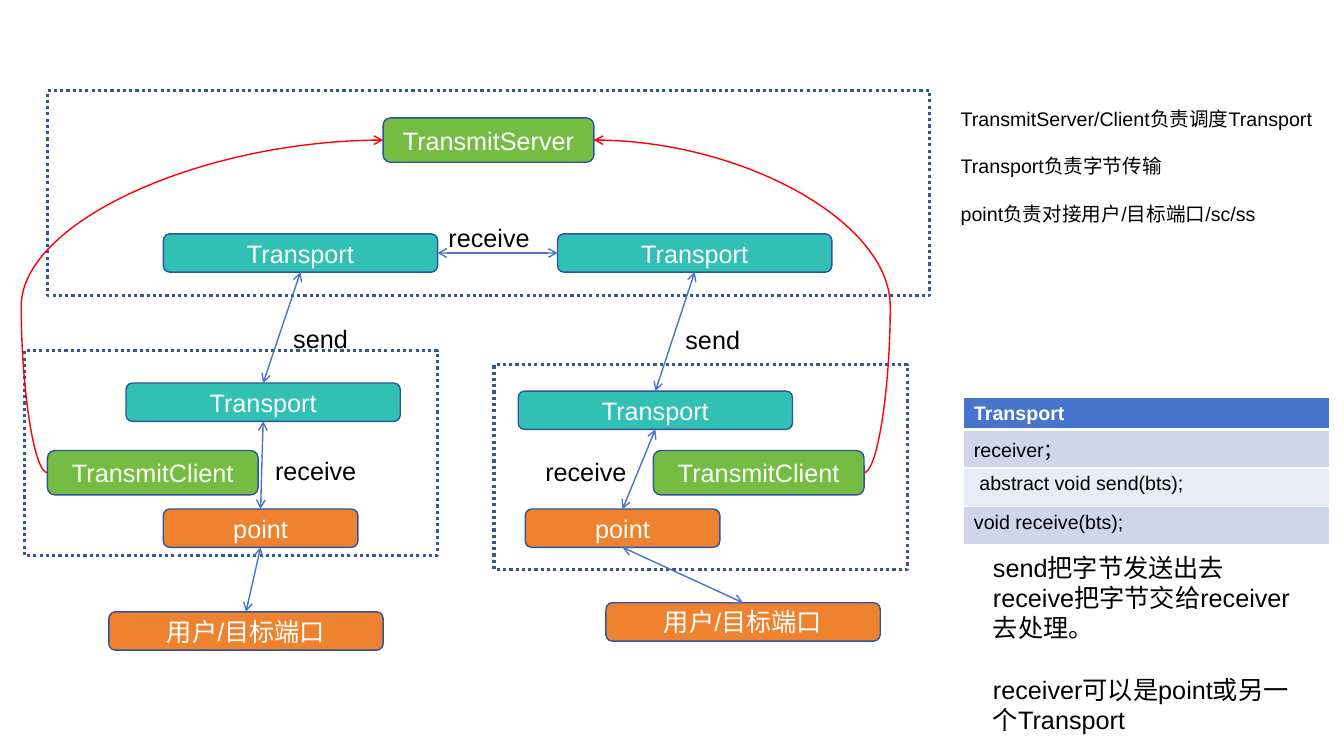
from dataclasses import dataclass

import lxml.etree
import pptx
import pptx.dml.color
import pptx.enum.dml
import pptx.enum.shapes
import pptx.enum.text
import pptx.oxml
import pptx.oxml.ns
import pptx.util

Inches = pptx.util.Inches
Pt = pptx.util.Pt
TOP, LEFT, BOTTOM, RIGHT = range(4)


@dataclass(frozen=True)
class Theme:
    font: str = "Arial"
    text_size: float = 18
    small_size: float = 14
    white: str = "FFFFFF"
    black: str = "000000"
    manager: str = "75BD42"
    transport: str = "30C0B4"
    endpoint: str = "EE822F"
    block_line: str = "2E54A1"
    frame_line: str = "355696"
    link: str = "4874CB"
    schedule: str = "FF0000"
    header: str = "4874CB"
    band_dark: str = "CFD6EC"
    band_light: str = "E9EBF6"


@dataclass(frozen=True)
class Box:
    left: float
    top: float
    width: float
    height: float


@dataclass(frozen=True)
class Block:
    name: str
    text: str
    fill: str
    box: Box


@dataclass(frozen=True)
class Link:
    start: str
    start_side: int
    end: str
    end_side: int


@dataclass(frozen=True)
class Curve:
    client: str
    client_side: int
    server_side: int
    bulge: int


@dataclass(frozen=True)
class Note:
    box: Box
    paragraphs: tuple[str, ...]
    size: float
    gaps: tuple[float, ...] = (0,)


THEME = Theme()

FRAMES = (
    Box(4.9, 3.62, 4.1, 2.03),
    Box(0.24, 3.48, 4.1, 2.03),
    Box(0.47, 0.9, 8.75, 2.03),
)


def manager(name: str, text: str, left: float, top: float) -> Block:
    return Block(name, text, THEME.manager, Box(left, top, 2.09, 0.44))


def transport(name: str, left: float, top: float) -> Block:
    return Block(name, "Transport", THEME.transport, Box(left, top, 2.72, 0.38))


def endpoint(name: str, text: str, left: float, top: float, width: float) -> Block:
    return Block(name, text, THEME.endpoint, Box(left, top, width, 0.38))


BLOCKS = (
    manager("server", "TransmitServer", 3.8, 1.17),
    manager("left client", "TransmitClient", 0.47, 4.47),
    manager("right client", "TransmitClient", 6.48, 4.47),
    transport("server left", 1.62, 2.32),
    transport("server right", 5.53, 2.32),
    transport("client left", 1.25, 3.8),
    transport("client right", 5.14, 3.88),
    endpoint("left user", "用户/目标端口", 1.08, 6.07, 2.72),
    endpoint("right user", "用户/目标端口", 6.01, 5.98, 2.72),
    endpoint("left point", "point", 1.62, 5.05, 1.93),
    endpoint("right point", "point", 5.21, 5.05, 1.93),
)

LINKS = (
    Link("server left", RIGHT, "server right", LEFT),
    *(
        Link(start.format(side), BOTTOM, end.format(side), TOP)
        for side in ("left", "right")
        for start, end in (
            ("server {}", "client {}"),
            ("client {}", "{} point"),
            ("{} point", "{} user"),
        )
    ),
)

CURVES = (
    Curve("left client", LEFT, LEFT, -7800),
    Curve("right client", RIGHT, RIGHT, -9700),
)

NOTES = (
    *(
        Note(Box(left, top, 1.16, 0.35), (text,), THEME.text_size)
        for text, left, top in (
            ("receive", 5.31, 4.48),
            ("send", 2.81, 3.16),
            ("send", 6.7, 3.17),
            ("receive", 4.35, 2.16),
            ("receive", 2.63, 4.47),
        )
    ),
    Note(
        Box(9.75, 5.43, 3.15, 1.92),
        ("send把字节发送出去", "receive把字节交给receiver去处理。", "receiver可以是point或另一个Transport"),
        THEME.text_size,
        (0, 0, 22),
    ),
    Note(
        Box(9.43, 1.01, 3.83, 1.88),
        ("TransmitServer/Client负责调度Transport", "Transport负责字节传输", "point负责对接用户/目标端口/sc/ss"),
        THEME.small_size,
        (0, 17, 17),
    ),
)

TABLE_BOX = Box(9.56, 3.94, 3.63, 1.46)
TABLE_ROWS = ("Transport", "receiver；", " abstract void send(bts);", "void receive(bts);")


def rgb(colour: str) -> pptx.dml.color.RGBColor:
    return pptx.dml.color.RGBColor.from_string(colour)


def place(box: Box) -> tuple[int, int, int, int]:
    return Inches(box.left), Inches(box.top), Inches(box.width), Inches(box.height)


def style_font(paragraph, size: float, colour: str, bold: bool = False) -> None:
    paragraph.font.name = THEME.font
    paragraph.font.size = Pt(size)
    paragraph.font.bold = bold
    paragraph.font.color.rgb = rgb(colour)


def draw_shape(slide, kind, box: Box, fill: str, line: str, width: float):
    shape = slide.shapes.add_shape(kind, *place(box))
    shape.shadow.inherit = False
    shape.fill.solid()
    shape.fill.fore_color.rgb = rgb(fill)
    shape.line.color.rgb = rgb(line)
    shape.line.width = Pt(width)
    return shape


def draw_frame(slide, box: Box) -> None:
    kind = pptx.enum.shapes.MSO_SHAPE.RECTANGLE
    shape = draw_shape(slide, kind, box, THEME.white, THEME.frame_line, 2.25)
    shape.line.dash_style = pptx.enum.dml.MSO_LINE.ROUND_DOT


def draw_block(slide, block: Block):
    kind = pptx.enum.shapes.MSO_SHAPE.ROUNDED_RECTANGLE
    shape = draw_shape(slide, kind, block.box, block.fill, THEME.block_line, 1)
    shape.text_frame.text = block.text
    shape.text_frame.vertical_anchor = pptx.enum.text.MSO_ANCHOR.MIDDLE
    paragraph = shape.text_frame.paragraphs[0]
    paragraph.alignment = pptx.enum.text.PP_ALIGN.CENTER
    style_font(paragraph, THEME.text_size, THEME.white)
    return shape


def style_connector(connector, colour: str, arrows: tuple[str, ...]) -> None:
    connector.line.color.rgb = rgb(colour)
    connector.line.width = Pt(1)
    line = connector.line._get_or_add_ln()
    for arrow in arrows:
        lxml.etree.SubElement(line, pptx.oxml.ns.qn(f"a:{arrow}"), type="arrow")
    properties = connector._element.spPr
    lxml.etree.SubElement(properties, pptx.oxml.ns.qn("a:effectLst"))


def draw_link(slide, link: Link, shapes: dict) -> None:
    kind = pptx.enum.shapes.MSO_CONNECTOR.STRAIGHT
    connector = slide.shapes.add_connector(kind, 0, 0, 0, 0)
    connector.begin_connect(shapes[link.start], link.start_side)
    connector.end_connect(shapes[link.end], link.end_side)
    style_connector(connector, THEME.link, ("headEnd", "tailEnd"))


def side_middle(shape, side: int) -> tuple[int, int]:
    x = shape.left + (shape.width if side == RIGHT else 0)
    return x, shape.top + shape.height // 2


def draw_curve(slide, curve: Curve, shapes: dict) -> None:
    start = side_middle(shapes[curve.client], curve.client_side)
    end = side_middle(shapes["server"], curve.server_side)
    kind = pptx.enum.shapes.MSO_CONNECTOR.CURVE
    connector = slide.shapes.add_connector(kind, *start, *end)
    geometry = connector._element.spPr.find(pptx.oxml.ns.qn("a:prstGeom"))
    adjustments = geometry.get_or_add_avLst()
    guide = pptx.oxml.ns.qn("a:gd")
    lxml.etree.SubElement(adjustments, guide, name="adj1", fmla=f"val {curve.bulge}")
    style_connector(connector, THEME.schedule, ("tailEnd",))


def draw_note(slide, note: Note) -> None:
    frame = slide.shapes.add_textbox(*place(note.box)).text_frame
    frame.word_wrap = True
    frame.text = "\n".join(note.paragraphs)
    for paragraph, gap in zip(frame.paragraphs, note.gaps):
        paragraph.space_before = Pt(gap)
        style_font(paragraph, note.size, THEME.black)


def draw_cell_borders(cell, bottom: float) -> None:
    properties = cell._tc.get_or_add_tcPr()
    for side, width in (("L", 1), ("R", 1), ("T", 1), ("B", bottom)):
        line = lxml.etree.SubElement(properties, pptx.oxml.ns.qn(f"a:ln{side}"), w=str(Pt(width)))
        fill = lxml.etree.SubElement(line, pptx.oxml.ns.qn("a:solidFill"))
        lxml.etree.SubElement(fill, pptx.oxml.ns.qn("a:srgbClr"), val=THEME.white)


def draw_table(slide) -> None:
    table = slide.shapes.add_table(len(TABLE_ROWS), 1, *place(TABLE_BOX)).table
    for index, text in enumerate(TABLE_ROWS):
        header = index == 0
        table.rows[index].height = Inches(0.32 if header else 0.38)
        cell = table.cell(index, 0)
        cell.text = text
        draw_cell_borders(cell, 3 if header else 1)
        band = THEME.band_dark if index % 2 else THEME.band_light
        cell.fill.solid()
        cell.fill.fore_color.rgb = rgb(THEME.header if header else band)
        colour = THEME.white if header else THEME.black
        style_font(cell.text_frame.paragraphs[0], THEME.small_size, colour, header)


def main() -> None:
    presentation = pptx.Presentation()
    presentation.slide_width = Inches(13.33)
    presentation.slide_height = Inches(7.5)
    slide = presentation.slides.add_slide(presentation.slide_layouts[6])
    for frame in FRAMES:
        draw_frame(slide, frame)
    shapes = {block.name: draw_block(slide, block) for block in BLOCKS}
    for curve in CURVES:
        draw_curve(slide, curve, shapes)
    for link in LINKS:
        draw_link(slide, link, shapes)
    draw_table(slide)
    for note in NOTES:
        draw_note(slide, note)
    presentation.save("out.pptx")


if __name__ == "__main__":
    main()
